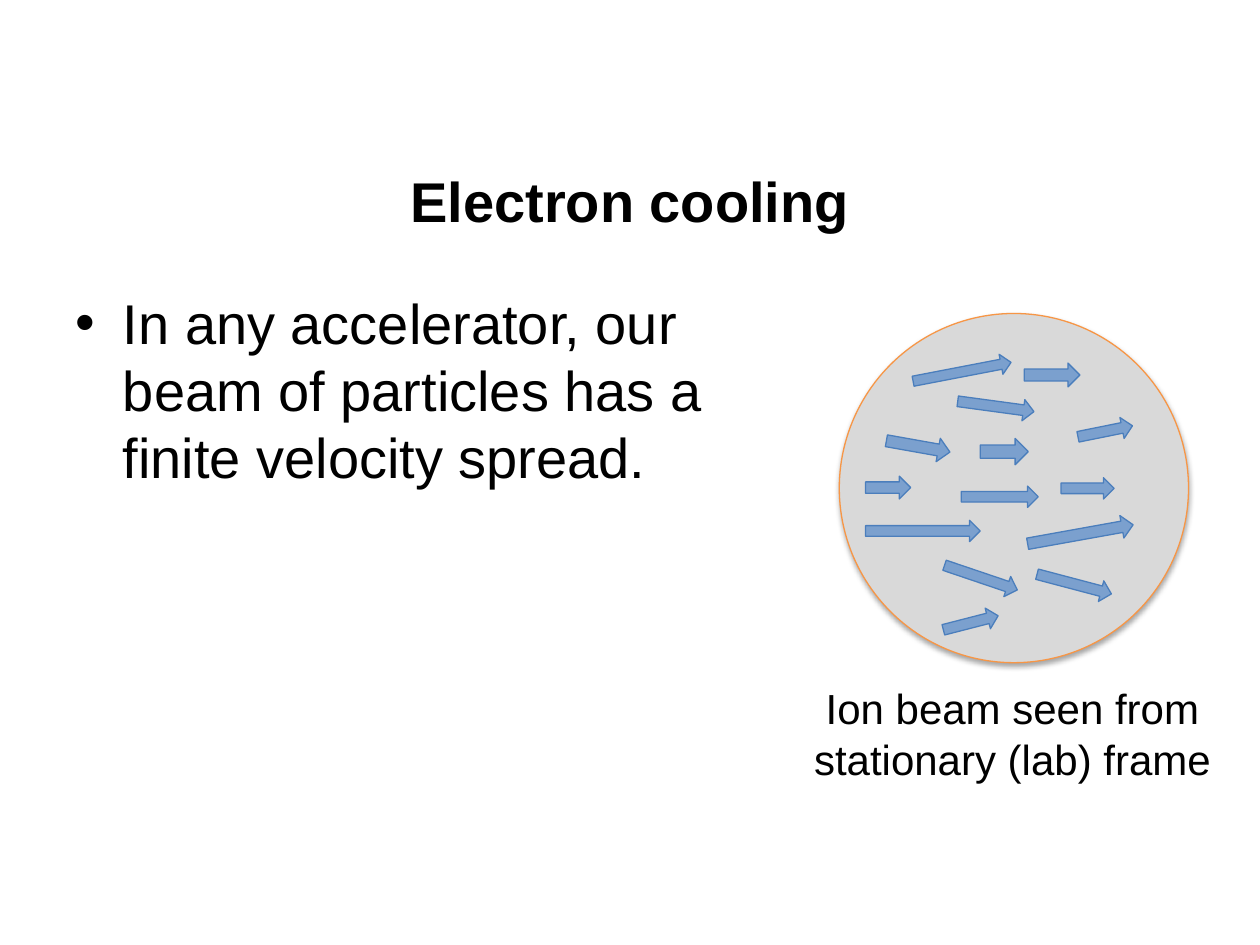
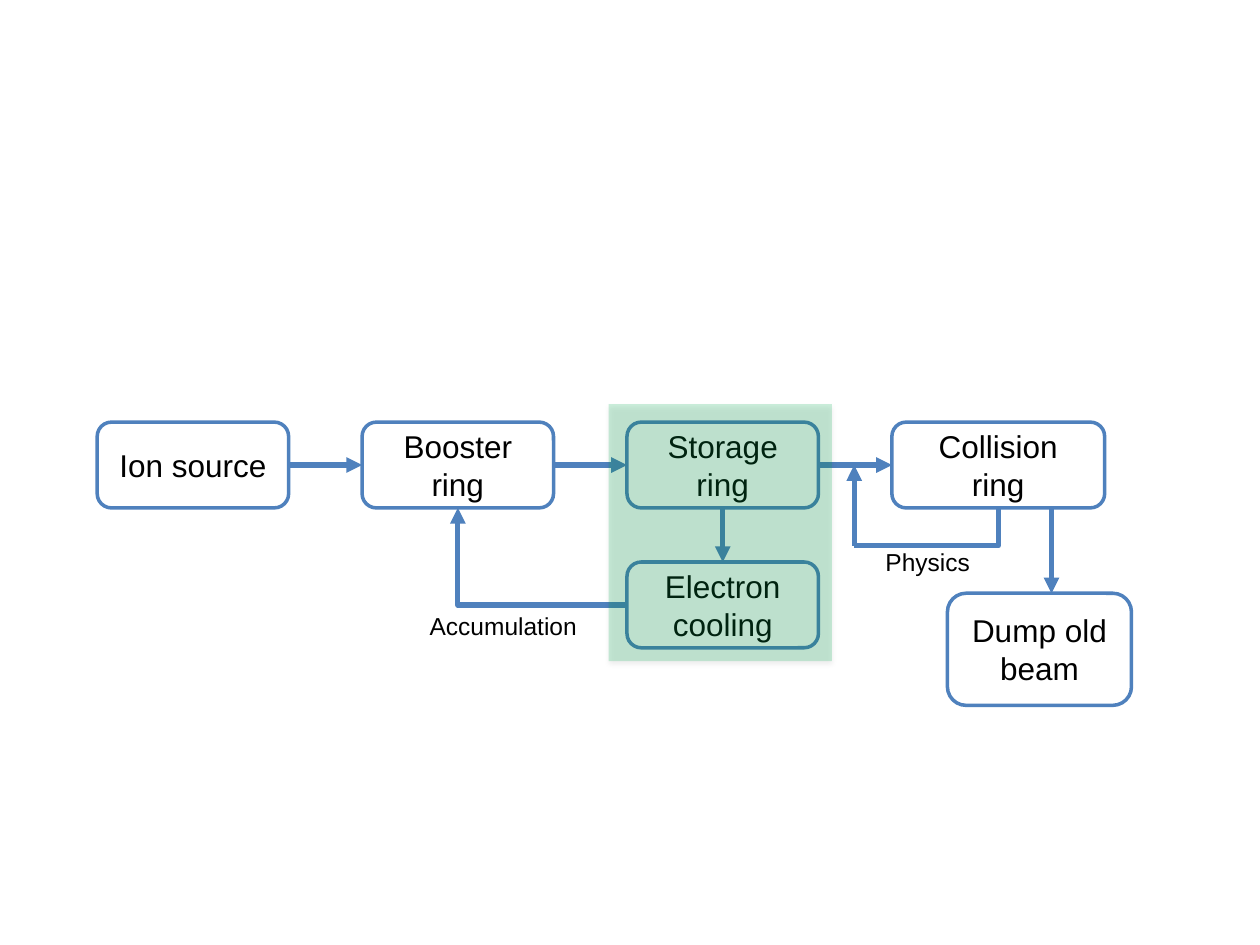
from dataclasses import dataclass

import pptx
import pptx.dml.color
import pptx.enum.shapes
import pptx.enum.text
import pptx.oxml
import pptx.oxml.ns
import pptx.oxml.xmlchemy
import pptx.shapes.autoshape
import pptx.shapes.connector
import pptx.slide
import pptx.text.text
import pptx.util
from lxml import etree

Cm = pptx.util.Cm
Pt = pptx.util.Pt
qn = pptx.oxml.ns.qn
SHAPES = pptx.enum.shapes.MSO_SHAPE
CONNECTORS = pptx.enum.shapes.MSO_CONNECTOR
ALIGN = pptx.enum.text.PP_ALIGN
ANCHOR = pptx.enum.text.MSO_ANCHOR

FONT = "Arial"
COLORS = {
    "text": "000000",
    "white": "FFFFFF",
    "beam": "D9D9D9",
    "beam_edge": "F79646",
    "ion": "7BA0CE",
    "ion_edge": "4B7EBC",
    "flow": "4F81BD",
    "highlight": "00B050",
}


@dataclass(frozen=True)
class Box:
    """A frame in centimetres, turned clockwise by rotation degrees."""
    left: float
    top: float
    width: float
    height: float
    rotation: float = 0

    @property
    def right(self) -> float:
        return self.left + self.width

    @property
    def bottom(self) -> float:
        return self.top + self.height

    @property
    def center(self) -> float:
        return self.left + self.width / 2

    @property
    def middle(self) -> float:
        return self.top + self.height / 2

    def lengths(self) -> tuple:
        return Cm(self.left), Cm(self.top), Cm(self.width), Cm(self.height)


Point = tuple[float, float]

ION_ARROWS = [
    Box(19.3, 7.98, 1.55, 0.43, 7.7),
    Box(19.76, 8.84, 0.97, 0.53),
    Box(19.38, 9.8, 1.55, 0.43),
    Box(20.7, 10.54, 2.16, 0.46, 349.8),
    Box(19, 11.43, 1.55, 0.43, 18.7),
    Box(20.65, 7.32, 1.12, 0.48),
    Box(18.39, 7.29, 2.01, 0.41, 349.1),
    Box(17.86, 8.76, 1.3, 0.48, 10.1),
    Box(21.72, 8.48, 1.12, 0.43, 348.6),
    Box(20.88, 11.56, 1.55, 0.43, 14.8),
    Box(19, 12.34, 1.14, 0.43, 345.6),
    Box(17.45, 10.49, 2.31, 0.43),
    Box(21.39, 9.63, 1.07, 0.43),
    Box(17.45, 9.6, 0.91, 0.46),
]

ROW_LEFT, ROW_TOP, ROW_STEP = 1.96, 8.51, 5.34
STAGE_WIDTH, STAGE_HEIGHT = 3.86, 1.73
SOURCE, BOOSTER, STORAGE = (
    Box(ROW_LEFT + i * ROW_STEP, ROW_TOP, STAGE_WIDTH, STAGE_HEIGHT) for i in range(3)
)
COLLISION = Box(ROW_LEFT + 3 * ROW_STEP, ROW_TOP, 4.29, STAGE_HEIGHT)
COOLING = Box(STORAGE.left, 11.33, STAGE_WIDTH, STAGE_HEIGHT)
DUMP = Box(19.1, 11.96, 3.71, 2.26)
STAGES = {
    "Ion source": SOURCE,
    "Booster ring": BOOSTER,
    "Storage ring": STORAGE,
    "Collision ring": COLLISION,
    "Electron cooling": COOLING,
    "Dump old beam": DUMP,
}


def rgb(name: str) -> pptx.dml.color.RGBColor:
    return pptx.dml.color.RGBColor.from_string(COLORS[name])


def write_text(frame: pptx.text.text.TextFrame, text: str, *, size: float,
               bold: bool = False, align: ALIGN | None = None,
               anchor: ANCHOR | None = None) -> None:
    frame.word_wrap = True
    if anchor is not None:
        frame.vertical_anchor = anchor
    paragraph = frame.paragraphs[0]
    paragraph.alignment = align
    run = paragraph.add_run()
    run.text = text
    run.font.name = FONT
    run.font.size = Pt(size)
    run.font.bold = bold
    run.font.color.rgb = rgb("text")


def add_label(slide: pptx.slide.Slide, box: Box, text: str, size: float,
              align: ALIGN = ALIGN.LEFT) -> None:
    write_text(slide.shapes.add_textbox(*box.lengths()).text_frame, text, size=size, align=align)


def fill_placeholder(slide: pptx.slide.Slide, index: int, box: Box, text: str, **style) -> None:
    placeholder = slide.placeholders[index]
    placeholder.left, placeholder.top, placeholder.width, placeholder.height = box.lengths()
    write_text(placeholder.text_frame, text, size=32, **style)


def add_figure(slide: pptx.slide.Slide, kind: SHAPES, box: Box, fill: str,
               line: str | None = None, line_width: float = 0.75) -> pptx.shapes.autoshape.Shape:
    shape = slide.shapes.add_shape(kind, *box.lengths())
    shape.rotation = box.rotation
    shape.shadow.inherit = False
    shape.fill.solid()
    shape.fill.fore_color.rgb = rgb(fill)
    if line is None:
        shape.line.fill.background()
    else:
        shape.line.color.rgb = rgb(line)
        shape.line.width = Pt(line_width)
    return shape


def set_alpha(color: etree._Element, percent: int) -> None:
    etree.SubElement(color, qn("a:alpha")).set("val", str(percent * 1000))


def add_soft_shadow(shape: pptx.shapes.autoshape.Shape) -> None:
    effects = shape._element.spPr.find(qn("a:effectLst"))
    shadow = etree.SubElement(effects, qn("a:outerShdw"), blurRad=str(Pt(3.1)),
                              dist=str(Pt(1.8)), dir="5400000", rotWithShape="0")
    color = etree.SubElement(shadow, qn("a:srgbClr"), val=COLORS["text"])
    set_alpha(color, 35)


def add_flow(slide: pptx.slide.Slide, start: Point, end: Point, arrow: bool = True,
             kind: CONNECTORS = CONNECTORS.STRAIGHT) -> pptx.shapes.connector.Connector:
    connector = slide.shapes.add_connector(kind, *(Cm(value) for value in (*start, *end)))
    connector.line.color.rgb = rgb("flow")
    connector.line.width = Pt(3)
    if arrow:
        etree.SubElement(connector.line._get_or_add_ln(), qn("a:tailEnd"), type="triangle")
    etree.SubElement(connector._element.spPr, qn("a:effectLst"))
    return connector


def add_corner_flow(slide: pptx.slide.Slide, start: Point, end: Point, turn: int,
                    arrow: bool = True) -> None:
    """Draw a one-corner connector whose frame is turned by 90 or 180 degrees."""
    width, height = abs(end[0] - start[0]), abs(end[1] - start[1])
    if turn == 90:
        width, height = height, width
    left = (start[0] + end[0] - width) / 2
    top = (start[1] + end[1] - height) / 2
    connector = add_flow(slide, (left, top), (left + width, top + height), arrow,
                         CONNECTORS.ELBOW)
    properties = connector._element.spPr
    properties.find(qn("a:xfrm")).set("rot", str(turn * 60000))
    properties.find(qn("a:prstGeom")).set("prst", "bentConnector2")


def build_beam_slide(presentation: pptx.presentation.Presentation) -> None:
    slide = presentation.slides.add_slide(presentation.slide_layouts[1])
    fill_placeholder(slide, 0, Box(1.27, 2.92, 22.86, 2.24), "Electron cooling",
                     bold=True, align=ALIGN.CENTER, anchor=ANCHOR.MIDDLE)
    fill_placeholder(slide, 1, Box(1.27, 5.69, 14.25, 11.33),
                     "In any accelerator, our beam of particles has a finite velocity spread.")
    beam = add_figure(slide, SHAPES.OVAL, Box(16.92, 6.32, 7.04, 7.04), "beam", "beam_edge")
    add_soft_shadow(beam)
    for box in ION_ARROWS:
        add_figure(slide, SHAPES.RIGHT_ARROW, box, "ion", "ion_edge")
    add_label(slide, Box(15.42, 13.64, 9.98, 2.31),
              "Ion beam seen from stationary (lab) frame", 24, ALIGN.CENTER)


def build_flow_slide(presentation: pptx.presentation.Presentation) -> None:
    slide = presentation.slides.add_slide(presentation.slide_layouts[6])
    for name, box in STAGES.items():
        stage = add_figure(slide, SHAPES.ROUNDED_RECTANGLE, box, "white", "flow", 2)
        write_text(stage.text_frame, name, size=18, align=ALIGN.CENTER, anchor=ANCHOR.MIDDLE)

    row = [SOURCE, BOOSTER, STORAGE, COLLISION]
    for before, after in zip(row, row[1:]):
        add_flow(slide, (before.right, before.middle), (after.left, after.middle))
    add_flow(slide, (STORAGE.center, STORAGE.bottom), (COOLING.center, COOLING.top))
    add_corner_flow(slide, (COOLING.left, COOLING.middle), (BOOSTER.center, BOOSTER.bottom), 180)

    physics_corner = (17.22, 11.0)
    add_corner_flow(slide, (COLLISION.center, COLLISION.bottom), physics_corner, 90, arrow=False)
    add_flow(slide, physics_corner, (physics_corner[0], COLLISION.middle))
    dump_x = COLLISION.left + COLLISION.width * 0.75
    add_flow(slide, (dump_x, COLLISION.bottom), (dump_x, DUMP.top))

    add_label(slide, Box(17.6, 10.9, 2.49, 0.86), "Physics", 14)
    add_label(slide, Box(8.41, 12.19, 4.06, 0.86), "Accumulation", 14)
    highlight = add_figure(slide, SHAPES.RECTANGLE, Box(12.27, 8.15, 4.5, 5.18), "highlight")
    set_alpha(highlight._element.spPr.find(qn("a:solidFill"))[0], 20)
    add_soft_shadow(highlight)


def main() -> None:
    presentation = pptx.Presentation()
    presentation.slide_width, presentation.slide_height = Cm(25.4), Cm(19.05)
    build_beam_slide(presentation)
    build_flow_slide(presentation)
    presentation.save("out.pptx")


if __name__ == "__main__":
    main()
